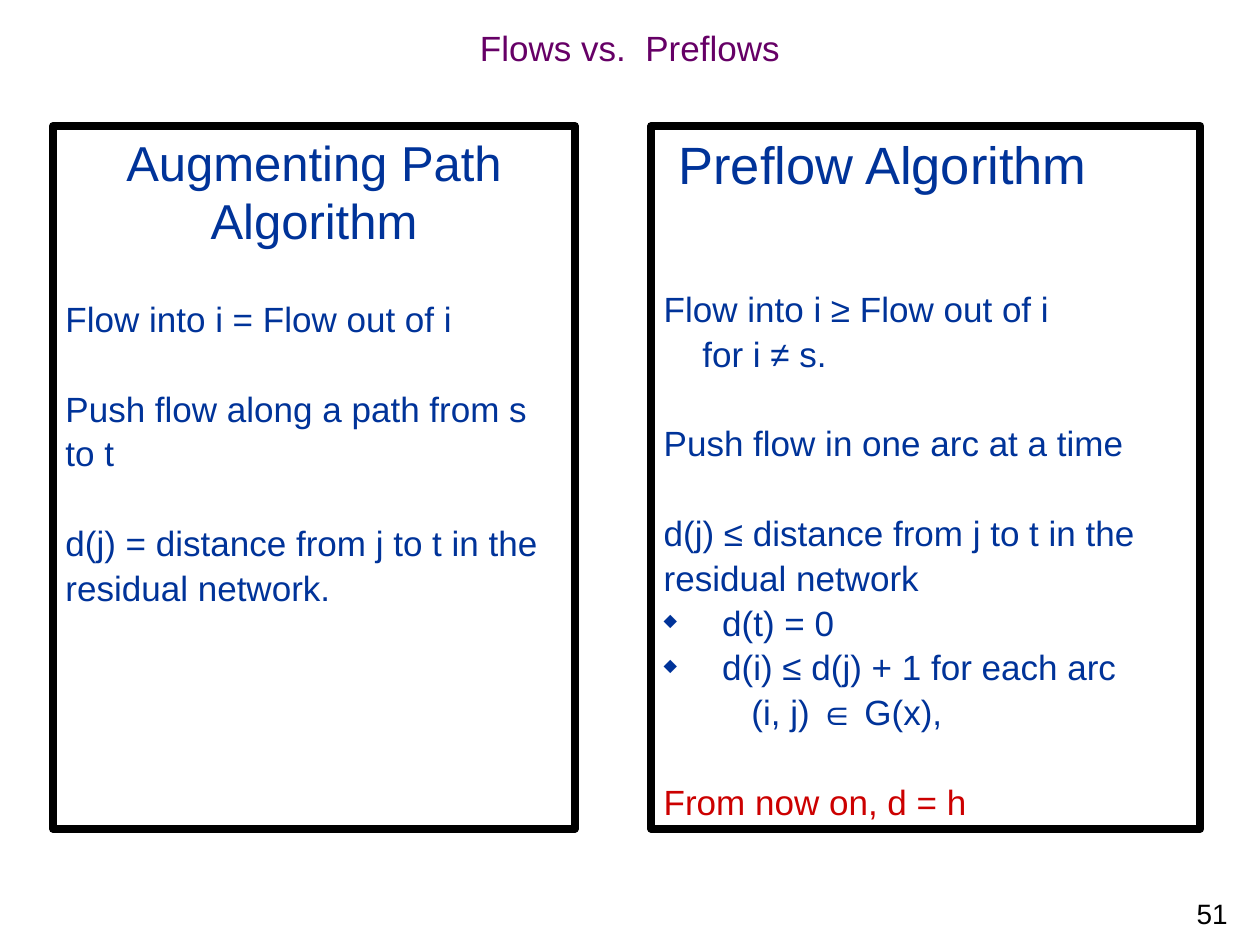
from lxml.etree import SubElement
from pptx import Presentation
from pptx.dml.color import RGBColor
from pptx.enum.shapes import MSO_SHAPE
from pptx.enum.text import MSO_ANCHOR, MSO_AUTO_SIZE, PP_ALIGN
from pptx.oxml.ns import qn
from pptx.util import Cm, Pt

BLACK = RGBColor(0x00, 0x00, 0x00)
WHITE = RGBColor(0xFF, 0xFF, 0xFF)
PURPLE = RGBColor(0x66, 0x00, 0x66)
BLUE = RGBColor(0x00, 0x33, 0x99)
RED = RGBColor(0xCC, 0x00, 0x00)
LINE = 25.6


def add_bullet(p):
    pPr = p._p.get_or_add_pPr()
    clr = SubElement(pPr, qn("a:buClr"))
    SubElement(clr, qn("a:srgbClr"), val=str(BLUE))
    SubElement(pPr, qn("a:buSzPct"), val="50000")
    SubElement(pPr, qn("a:buChar"), char="◆")


def write(tf, text, size=20, color=BLUE, align=PP_ALIGN.LEFT, spacing=None,
          gap=0, indent=0, bullet=False):
    p = tf.paragraphs[0]
    if p.runs:
        p = tf.add_paragraph()
    if bullet:
        add_bullet(p)
    pPr = p._p.get_or_add_pPr()
    pPr.set("marL", str(Cm(indent)))
    pPr.set("indent", str(-Cm(indent) if bullet else 0))
    p.alignment = align
    p.space_before = Pt(gap)
    if spacing:
        p.line_spacing = spacing
    r = p.add_run()
    r.text = text
    r.font.name = "Arial"
    r.font.size = Pt(size)
    r.font.color.rgb = color


def add_title(s, text):
    sp = s.shapes.title
    sp.left, sp.top, sp.width, sp.height = Cm(0), Cm(0.43), Cm(25.4), Cm(1.27)
    tf = sp.text_frame
    tf.auto_size = MSO_AUTO_SIZE.NONE
    tf.vertical_anchor = MSO_ANCHOR.MIDDLE
    write(tf, text, color=PURPLE, align=PP_ALIGN.CENTER, spacing=0.7)


def add_panel(s, left, width, heading, lines):
    sp = s.shapes.add_shape(MSO_SHAPE.RECTANGLE, Cm(left), Cm(2.54),
                            Cm(width), Cm(14.17))
    sp.shadow.inherit = False
    sp.fill.solid()
    sp.fill.fore_color.rgb = WHITE
    sp.line.color.rgb = BLACK
    sp.line.width = Pt(4.5)
    tf = sp.text_frame
    tf.word_wrap = True
    tf.vertical_anchor = MSO_ANCHOR.TOP
    write(tf, **heading)
    for text, fmt in lines:
        write(tf, text, spacing=Pt(LINE), **fmt)


def add_page_number(s, number):
    sp = s.shapes.add_textbox(Cm(20.12), Cm(17.78), Cm(4.88), Cm(1.27))
    tf = sp.text_frame
    tf.word_wrap = True
    tf.vertical_anchor = MSO_ANCHOR.MIDDLE
    write(tf, number, size=16, color=BLACK, align=PP_ALIGN.RIGHT)


def main():
    prs = Presentation()
    prs.slide_width, prs.slide_height = Cm(25.4), Cm(19.05)
    s = prs.slides.add_slide(prs.slide_layouts[5])
    add_title(s, "Flows vs.  Preflows")

    after_blank = {"gap": LINE}
    add_panel(
        s, 1.07, 10.52,
        {"text": "Augmenting Path Algorithm", "size": 28,
         "align": PP_ALIGN.CENTER},
        [("Flow into i = Flow out of i", after_blank),
         ("Push flow along a path from s to t", after_blank),
         ("d(j) = distance from j to t in the residual network.",
          after_blank)])
    add_panel(
        s, 13.13, 11.07,
        {"text": "Preflow Algorithm", "size": 30, "indent": 0.3},
        [("Flow into i ≥ Flow out of i", {"gap": 2 * LINE}),
         ("for i ≠ s.", {"indent": 0.78}),
         ("Push flow in one arc at a time", after_blank),
         ("d(j) ≤ distance from j to t in the residual network", after_blank),
         ("d(t) = 0", {"indent": 1.18, "bullet": True}),
         ("d(i) ≤ d(j) + 1 for each arc", {"indent": 1.18, "bullet": True}),
         ("(i, j) ∈ G(x),", {"indent": 1.77}),
         ("From now on, d = h", {"gap": LINE, "color": RED})])
    add_page_number(s, "51")
    prs.save("out.pptx")


if __name__ == "__main__":
    main()
